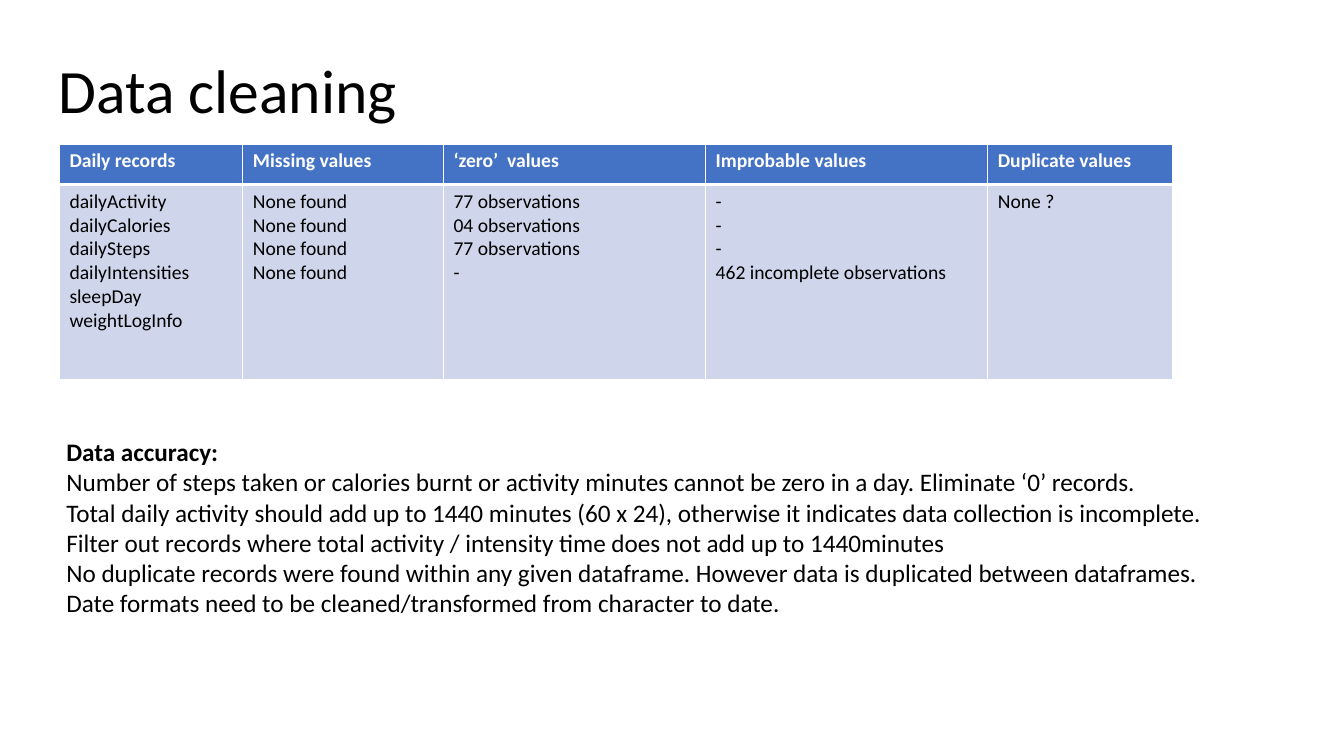
from dataclasses import dataclass

from lxml import etree
from pptx import Presentation
from pptx.dml.color import RGBColor
from pptx.enum.text import MSO_ANCHOR, MSO_AUTO_SIZE, PP_ALIGN
from pptx.oxml.ns import qn
from pptx.util import Pt

LEFT = PP_ALIGN.LEFT
TOP = MSO_ANCHOR.TOP
MIDDLE = MSO_ANCHOR.MIDDLE
FIT_SHAPE = MSO_AUTO_SIZE.SHAPE_TO_FIT_TEXT
TITLE_ONLY = 5


@dataclass(frozen=True)
class Theme:
    font: str = "Calibri"
    text: str = "000000"
    inverse: str = "FFFFFF"
    header: str = "4472C4"
    body: str = "CFD5EA"
    border: str = "FFFFFF"
    title_size: float = 44
    text_size: float = 18
    table_size: float = 14


class SlideBuilder:
    def __init__(self, presentation, theme):
        self.theme = theme
        self.slide = presentation.slides.add_slide(presentation.slide_layouts[TITLE_ONLY])

    def fill_text(self, frame, lines, size, color, bold_lines=0):
        frame.word_wrap = True
        for index, line in enumerate(lines):
            paragraph = frame.paragraphs[0] if index == 0 else frame.add_paragraph()
            paragraph.text = line
            paragraph.alignment = LEFT
            paragraph.font.name = self.theme.font
            paragraph.font.size = Pt(size)
            paragraph.font.bold = index < bold_lines
            paragraph.font.color.rgb = RGBColor.from_string(color)

    def title(self, text, left, top, width, height):
        shape = self.slide.shapes.title
        shape.left, shape.top, shape.width, shape.height = map(Pt, (left, top, width, height))
        frame = shape.text_frame
        frame.vertical_anchor = MIDDLE
        self.fill_text(frame, [text], self.theme.title_size, self.theme.text)
        frame.paragraphs[0].line_spacing = 0.9

    def text_box(self, lines, left, top, width, height, bold_lines=0):
        shape = self.slide.shapes.add_textbox(*map(Pt, (left, top, width, height)))
        shape.text_frame.auto_size = FIT_SHAPE
        self.fill_text(shape.text_frame, lines, self.theme.text_size, self.theme.text, bold_lines)

    def cell_borders(self, cell, top_width, bottom_width):
        properties = cell._tc.get_or_add_tcPr()
        for side, width in (("L", 1), ("R", 1), ("T", top_width), ("B", bottom_width)):
            line = etree.SubElement(properties, qn(f"a:ln{side}"), w=str(Pt(width)))
            fill = etree.SubElement(line, qn("a:solidFill"))
            etree.SubElement(fill, qn("a:srgbClr"), val=self.theme.border)

    def table(self, columns, left, top, widths, heights):
        theme = self.theme
        frame = self.slide.shapes.add_table(
            len(heights), len(widths), Pt(left), Pt(top), Pt(sum(widths)), Pt(sum(heights))
        )
        table = frame.table
        for row, height in zip(table.rows, heights):
            row.height = Pt(height)
        for index, (width, (heading, entries)) in enumerate(zip(widths, columns)):
            table.columns[index].width = Pt(width)
            rows = (
                ([heading], theme.header, theme.inverse, 1, 1, 3),
                (entries, theme.body, theme.text, 0, 3, 1),
            )
            for row, (lines, fill, color, bold_lines, top_width, bottom_width) in enumerate(rows):
                cell = table.cell(row, index)
                cell.vertical_anchor = TOP
                self.cell_borders(cell, top_width, bottom_width)
                cell.fill.solid()
                cell.fill.fore_color.rgb = RGBColor.from_string(fill)
                self.fill_text(cell.text_frame, lines, theme.table_size, color, bold_lines)


RECORD_CHECKS = [
    (
        "Daily records",
        ["dailyActivity", "dailyCalories", "dailySteps", "dailyIntensities", "sleepDay", "weightLogInfo"],
    ),
    ("Missing values", ["None found"] * 4),
    ("‘zero’  values", ["77 observations", "04 observations", "77 observations", "-"]),
    ("Improbable values", ["-", "-", "-", "462 incomplete observations"]),
    ("Duplicate values", ["None ?"]),
]

ACCURACY_NOTES = [
    "Data accuracy:",
    "Number of steps taken or calories burnt or activity minutes cannot be zero in a day. "
    "Eliminate ‘0’ records.",
    "Total daily activity should add up to 1440 minutes (60 x 24), otherwise it indicates data "
    "collection is incomplete. Filter out records where total activity / intensity time does not "
    "add up to 1440minutes",
    "No duplicate records were found within any given dataframe. However data is duplicated "
    "between dataframes.",
    "Date formats need to be cleaned/transformed from character to date.",
]


def main():
    presentation = Presentation()
    presentation.slide_width = Pt(960)
    presentation.slide_height = Pt(540)
    builder = SlideBuilder(presentation, Theme())
    builder.title("Data cleaning", 34.6, 14.4, 828, 104.4)
    builder.table(RECORD_CHECKS, 42.5, 103, [131, 143.3, 187.2, 201.6, 131.8], [28.8, 139])
    builder.text_box(ACCURACY_NOTES, 40.3, 308.2, 866.9, 138.2, bold_lines=1)
    presentation.save("out.pptx")


if __name__ == "__main__":
    main()
